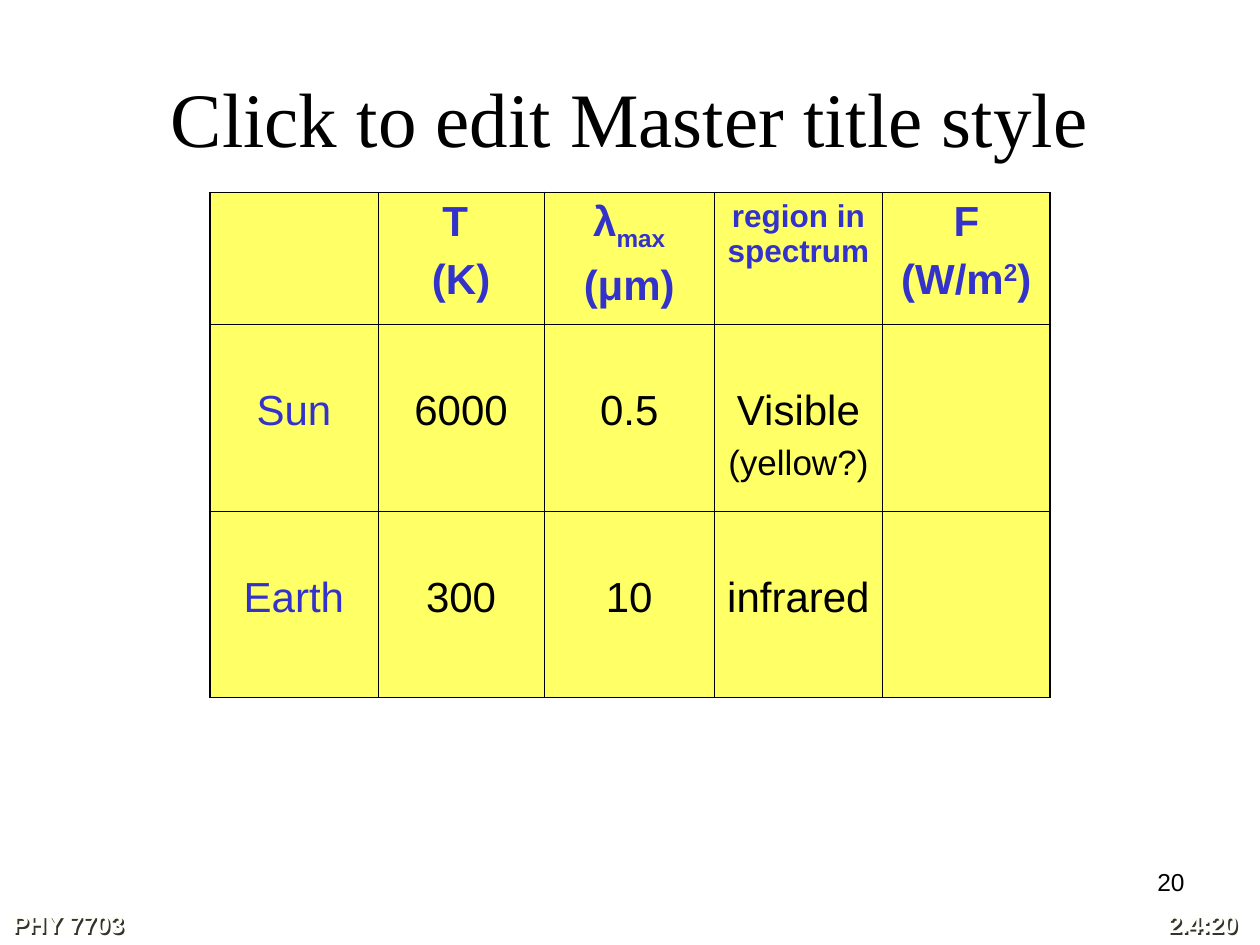
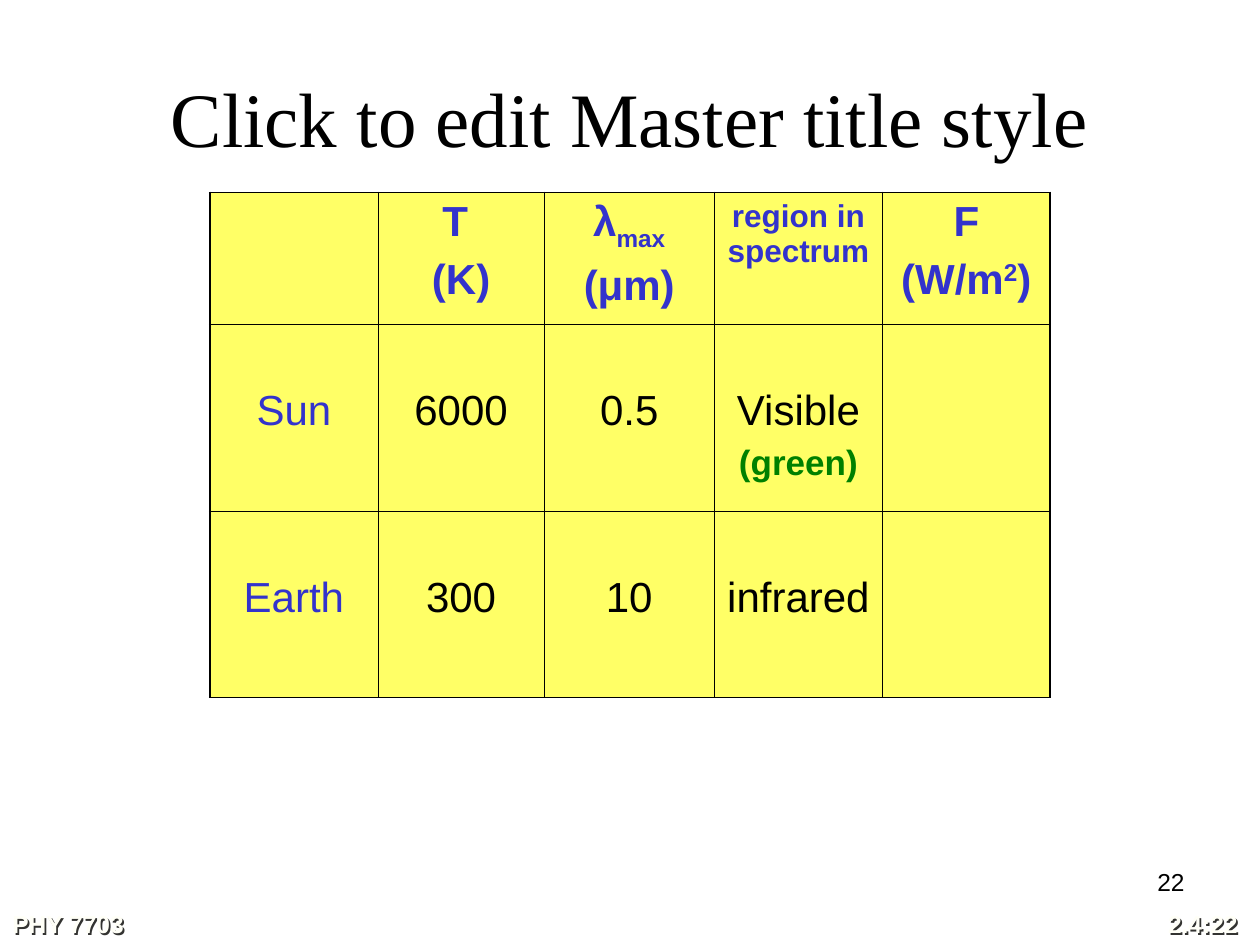
from dataclasses import dataclass

from lxml import etree
from pptx import Presentation, util as u
from pptx.dml.color import RGBColor
from pptx.enum import text as t
from pptx.oxml.ns import qn

Cm, Pt = u.Cm, u.Pt


@dataclass(frozen=True)
class Theme:
    ink: str = "000000"
    label: str = "3333CC"
    cell: str = "FFFF66"
    green: str = "008000"
    footer: str = "FFFFF7"
    shadow: str = "333331"
    serif: str = "Times New Roman"
    sans: str = "Arial"
    title: int = 44
    table: int = 24
    detail: int = 20
    region: int = 18
    small: int = 14
    outer_line: float = 1.08
    inner_line: float = 0.45


th = Theme()

# Content: a cell is a list of paragraphs, a paragraph a list of (text, format) runs
TITLE = "Click to edit Master title style"
COURSE = "PHY 7703"
CHAPTER = "2.4"

HEAD = dict(color=th.label, bold=True)
NAME = dict(color=th.label)
SUB, SUPER = HEAD | dict(baseline=-25000), HEAD | dict(baseline=30000)

HEADER_ROW = [
    [],
    [[("T ", HEAD)], [("(K)", HEAD)]],
    [[("λ", HEAD), ("max", SUB)], [("(μm)", HEAD)]],
    [[("region in spectrum", HEAD | dict(size=th.region))]],
    [[("F", HEAD)], [("(W/m", HEAD), ("2", SUPER), (")", HEAD)]],
]
EARTH_ROW = [[[("Earth", NAME)]], [[("300", {})]], [[("10", {})]], [[("infrared", {})]], []]

# Slide number and the colour note under "Visible"
SLIDES = [
    (20, ("(yellow?)", dict(size=th.detail))),
    (22, ("(green)", dict(size=th.detail, color=th.green, bold=True))),
]

# Layout, in centimetres
TITLE_BOX = (1.27, 0.76, 22.86, 3.18)
NUMBER_BOX = (18.21, 17.35, 5.92, 1.32)
COURSE_BOX = (0, 18.21, 8.05, 0.86)
CHAPTER_BOX = (17.15, 18.21, 8.05, 0.86)
TABLE_AT = (4.23, 3.88)
COLS = (3.39, 3.35, 3.43, 3.39, 3.38)
ROWS = (2.65, 3.77, 3.76)
BODY_TOP = 1.29  # top margin that sets the body text one line down


def sun_row(note):
    return [[[("Sun", NAME)]], [[("6000", {})]], [[("0.5", {})]],
            [[("Visible", {})], [note]], []]


def add_run(p, text, size=th.table, color=th.ink, bold=False, name=th.sans, baseline=None):
    r = p.add_run()
    r.text = text
    for key, value in dict(size=Pt(size), bold=bold, name=name).items():
        setattr(r.font, key, value)
    r.font.color.rgb = RGBColor.from_string(color)
    if baseline:
        r._r.get_or_add_rPr().set("baseline", str(baseline))


def add_shadow(sp):
    sp.shadow.inherit = False
    effects = sp.element.spPr.find(qn("a:effectLst"))
    outer = etree.SubElement(effects, qn("a:outerShdw"), dist="17961", dir="2700000")
    etree.SubElement(outer, qn("a:srgbClr"), val=th.shadow)


def add_label(s, box, text, align, **fmt):
    sp = s.shapes.add_textbox(*map(Cm, box))
    tf = sp.text_frame
    tf.word_wrap = True
    p = tf.paragraphs[0]
    p.alignment = align
    add_run(p, text, size=th.small, **fmt)
    return sp


def add_border(cell, side, width):
    ln = etree.SubElement(cell._tc.get_or_add_tcPr(), qn(f"a:ln{side}"), w=str(Pt(width)))
    fill = etree.SubElement(ln, qn("a:solidFill"))
    etree.SubElement(fill, qn("a:srgbClr"), val=th.ink)


def fill_cell(cell, paragraphs, outer):
    for side, is_outer in outer.items():
        add_border(cell, side, th.outer_line if is_outer else th.inner_line)
    cell.fill.solid()
    cell.fill.fore_color.rgb = RGBColor.from_string(th.cell)
    tf = cell.text_frame
    for i, runs in enumerate(paragraphs):
        p = tf.add_paragraph() if i else tf.paragraphs[0]
        p.alignment = t.PP_ALIGN.CENTER
        p.space_before = Pt(runs[0][1].get("size", th.table) / 4)
        for text, fmt in runs:
            add_run(p, text, **fmt)


def add_radiation_table(s, rows):
    size = (sum(COLS), sum(ROWS))
    table = s.shapes.add_table(len(ROWS), len(COLS), *map(Cm, TABLE_AT + size)).table
    table.first_row = table.horz_banding = False
    for col, width in zip(table.columns, COLS):
        col.width = Cm(width)
    for row, height in zip(table.rows, ROWS):
        row.height = Cm(height)
    for i, row in enumerate(rows):
        for j, paragraphs in enumerate(row):
            cell = table.cell(i, j)
            if i:
                cell.margin_top = Cm(BODY_TOP)
            fill_cell(cell, paragraphs, dict(L=j == 0, R=j == len(COLS) - 1,
                                             T=i == 0, B=i == len(ROWS) - 1))


def add_title(s):
    sp = s.shapes.title
    for key, value in zip(("left", "top", "width", "height"), TITLE_BOX):
        setattr(sp, key, Cm(value))
    tf = sp.text_frame
    for key, value in dict(vertical_anchor=t.MSO_ANCHOR.MIDDLE, word_wrap=True,
                           auto_size=t.MSO_AUTO_SIZE.NONE).items():
        setattr(tf, key, value)
    p = tf.paragraphs[0]
    p.alignment = t.PP_ALIGN.CENTER
    add_run(p, TITLE, size=th.title, name=th.serif)


def add_footers(s, number):
    left, right = t.PP_ALIGN.LEFT, t.PP_ALIGN.RIGHT
    add_label(s, NUMBER_BOX, str(number), right)
    for box, text, align in ((COURSE_BOX, COURSE, left),
                             (CHAPTER_BOX, f"{CHAPTER}:{number}", right)):
        add_shadow(add_label(s, box, text, align, color=th.footer, bold=True))


def main():
    prs = Presentation()
    prs.slide_width, prs.slide_height = Cm(25.4), Cm(19.05)
    for number, note in SLIDES:
        s = prs.slides.add_slide(prs.slide_layouts.get_by_name("Title Only"))
        add_title(s)
        add_footers(s, number)
        add_radiation_table(s, [HEADER_ROW, sun_row(note), EARTH_ROW])
    prs.save("out.pptx")


if __name__ == "__main__":
    main()
